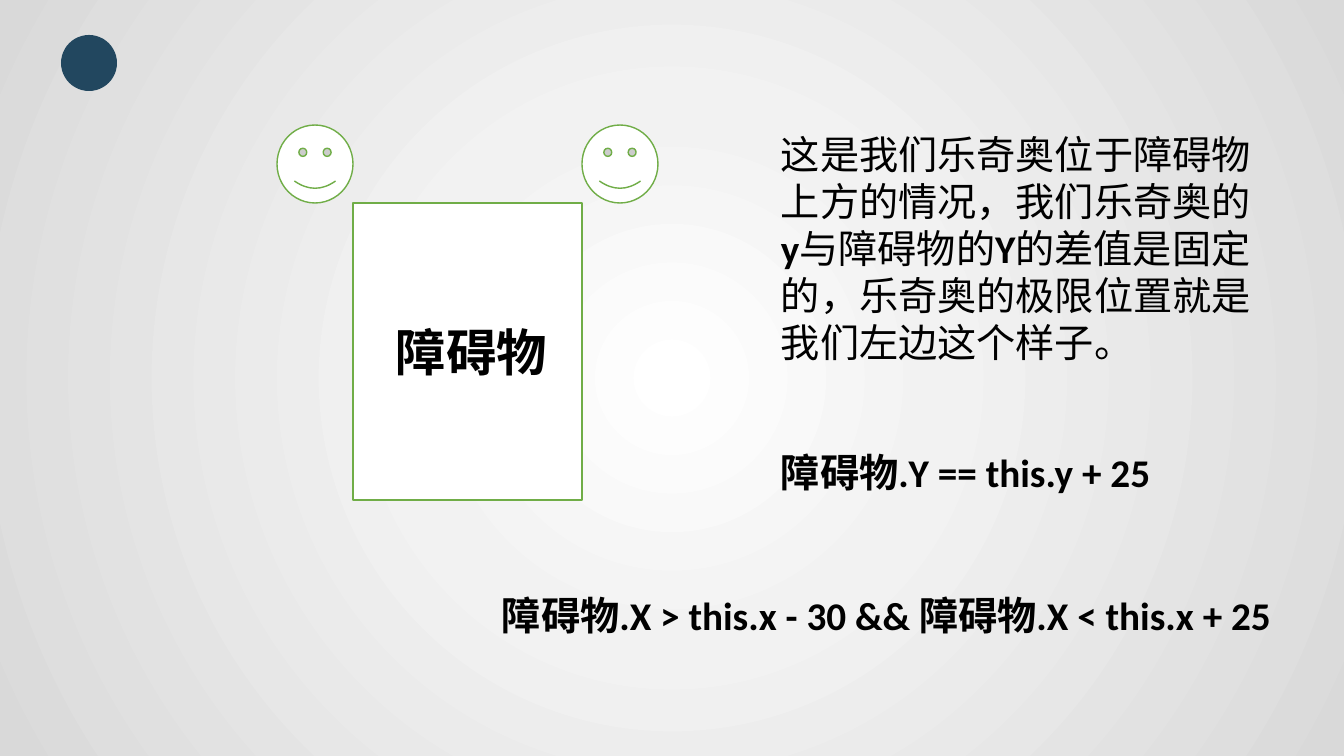
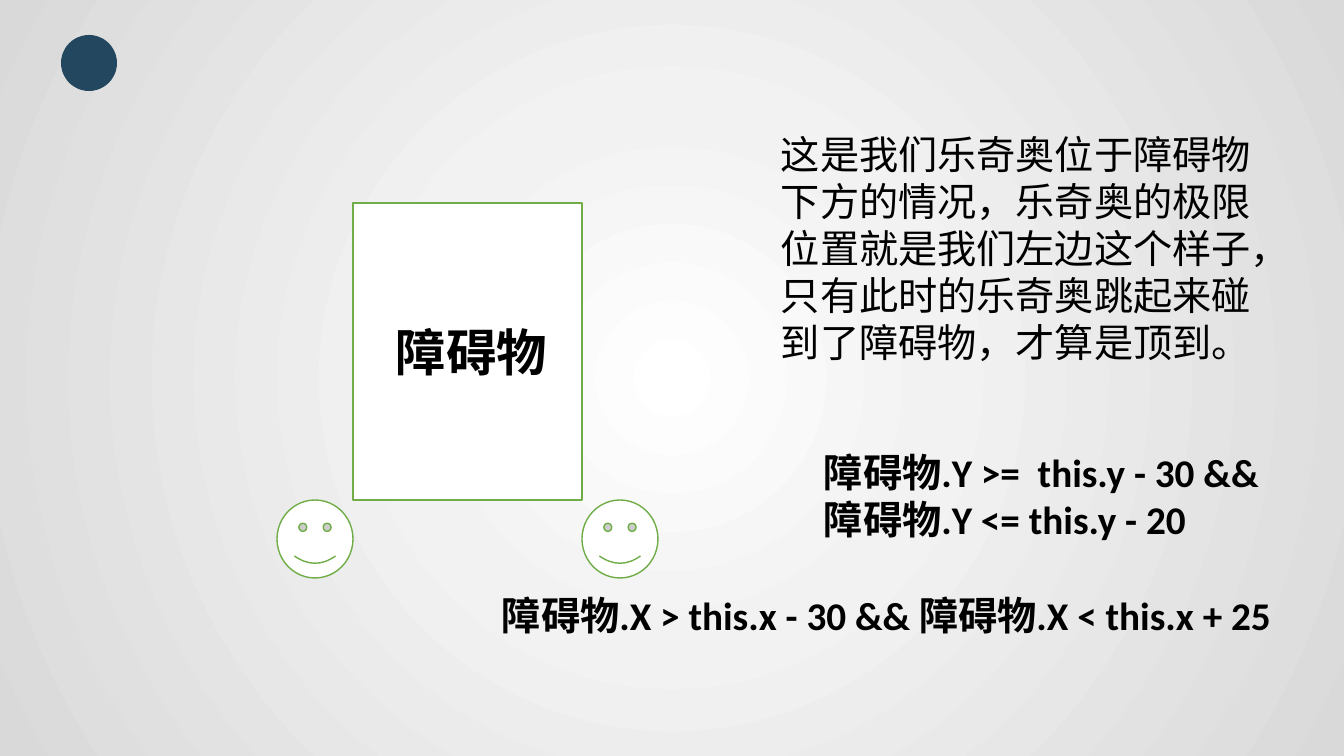
from lxml import etree
from pptx import Presentation
from pptx.dml.color import RGBColor
from pptx.enum.shapes import MSO_SHAPE
from pptx.enum.text import MSO_ANCHOR
from pptx.oxml import parse_xml
from pptx.oxml.ns import nsdecls, qn
from pptx.util import Emu, Pt

RECT, OVAL, SMILEY = MSO_SHAPE.RECTANGLE, MSO_SHAPE.OVAL, MSO_SHAPE.SMILEY_FACE
TOP = MSO_ANCHOR.TOP

PX = 914400 / 100.8
WIDTH, HEIGHT = 1344, 756
LATIN, EAST_ASIAN = "Calibri", "Noto Sans CJK SC"
COLORS = {"ink": "000000", "white": "FFFFFF", "green": "70AD47", "badge": "22475F"}
BACKGROUND_STOPS = ((0, "FFFFFF"), (35, "F2F2F2"), (100, "D9D9D9"))

# Obstacle box and the hero's extreme positions at its corners
BOX = (353, 203, 229, 297)
FACE_W, FACE_H = 76, 78
X_RULE = "障碍物.X > this.x - 30 && 障碍物.X < this.x + 25"

SLIDES = (
    {
        "above": True,
        "note": (("这是我们乐奇奥位于障碍物上方的情况，我们乐奇奥的", False),
                 ("y", True), ("与障碍物的", False), ("Y", True),
                 ("的差值是固定的，乐奇奥的极限位置就是我们左边这个样子。", False)),
        "y_rule": "障碍物.Y == this.y + 25",
        "y_rule_at": (771, 443, 422, 58),
    },
    {
        "above": False,
        "note": (("这是我们乐奇奥位于障碍物下方的情况，乐奇奥的极限位置就是我们左边这个样子，"
                  "只有此时的乐奇奥跳起来碰到了障碍物，才算是顶到。", False),),
        "y_rule": "障碍物.Y >=  this.y - 30 && 障碍物.Y <= this.y - 20",
        "y_rule_at": (814, 443, 475, 105),
    },
)


def color(name):
    return RGBColor.from_string(COLORS[name])


def emu(at):
    return [Emu(round(v * PX)) for v in at]


def set_background(master):
    """Give every slide the same radial gradient."""
    c_sld = master.element.find(qn("p:cSld"))
    old = c_sld.find(qn("p:bg"))
    if old is not None:
        c_sld.remove(old)
    stops = "".join(f'<a:gs pos="{pos * 1000}"><a:srgbClr val="{rgb}"/></a:gs>'
                    for pos, rgb in BACKGROUND_STOPS)
    c_sld.insert(0, parse_xml(
        f'<p:bg {nsdecls("p", "a")}><p:bgPr><a:gradFill rotWithShape="1">'
        f'<a:gsLst>{stops}</a:gsLst><a:path path="circle">'
        '<a:fillToRect l="50000" t="50000" r="50000" b="50000"/></a:path>'
        '</a:gradFill><a:effectLst/></p:bgPr></p:bg>'))


def add_shape(s, kind, at, fill, line=None):
    sp = s.shapes.add_shape(kind, *emu(at))
    sp.shadow.inherit = False
    sp.fill.solid()
    sp.fill.fore_color.rgb = color(fill)
    if line:
        sp.line.color.rgb = color(line)
        sp.line.width = Pt(1)
    else:
        sp.line.fill.background()
    return sp


def add_text(s, at, runs, size=28, wrap=True):
    """Add one paragraph made of (text, bold) runs."""
    tf = s.shapes.add_textbox(*emu(at)).text_frame
    tf.word_wrap = wrap
    tf.vertical_anchor = TOP
    p = tf.paragraphs[0]
    for text, bold in runs:
        r = p.add_run()
        r.text = text
        for key, value in {"name": LATIN, "size": Pt(size), "bold": bold}.items():
            setattr(r.font, key, value)
        r.font.color.rgb = color("ink")
        r_pr = r.font._element if hasattr(r.font, "_element") else r._r.get_or_add_rPr()
        east = etree.SubElement(r_pr, qn("a:ea"))
        east.set("typeface", EAST_ASIAN)


def add_scene(s, above):
    """Draw the obstacle with a face at its left and right corners."""
    left, top, width, height = BOX
    add_shape(s, RECT, BOX, "white", "green")
    add_text(s, (386, 316, 196, 72), [("障碍物", True)], size=36)
    face_top = top - FACE_H if above else top + height
    for face_left in (left - FACE_W, left + width):
        add_shape(s, SMILEY, (face_left, face_top, FACE_W, FACE_H), "white", "green")


def build_slide(prs, content):
    s = prs.slides.add_slide(prs.slide_layouts[6])
    # Corner badge
    add_shape(s, OVAL, (61, 35, 56, 56), "badge")
    add_scene(s, content["above"])
    # Explanation and the two conditions
    add_text(s, (771, 125, 498, 248), content["note"])
    add_text(s, content["y_rule_at"], [(content["y_rule"], True)])
    add_text(s, (492, 586, 822, 58), [(X_RULE, True)], wrap=False)


def main():
    prs = Presentation()
    prs.slide_width, prs.slide_height = emu((WIDTH, HEIGHT))
    set_background(prs.slide_master)
    for content in SLIDES:
        build_slide(prs, content)
    prs.save("out.pptx")


main()
